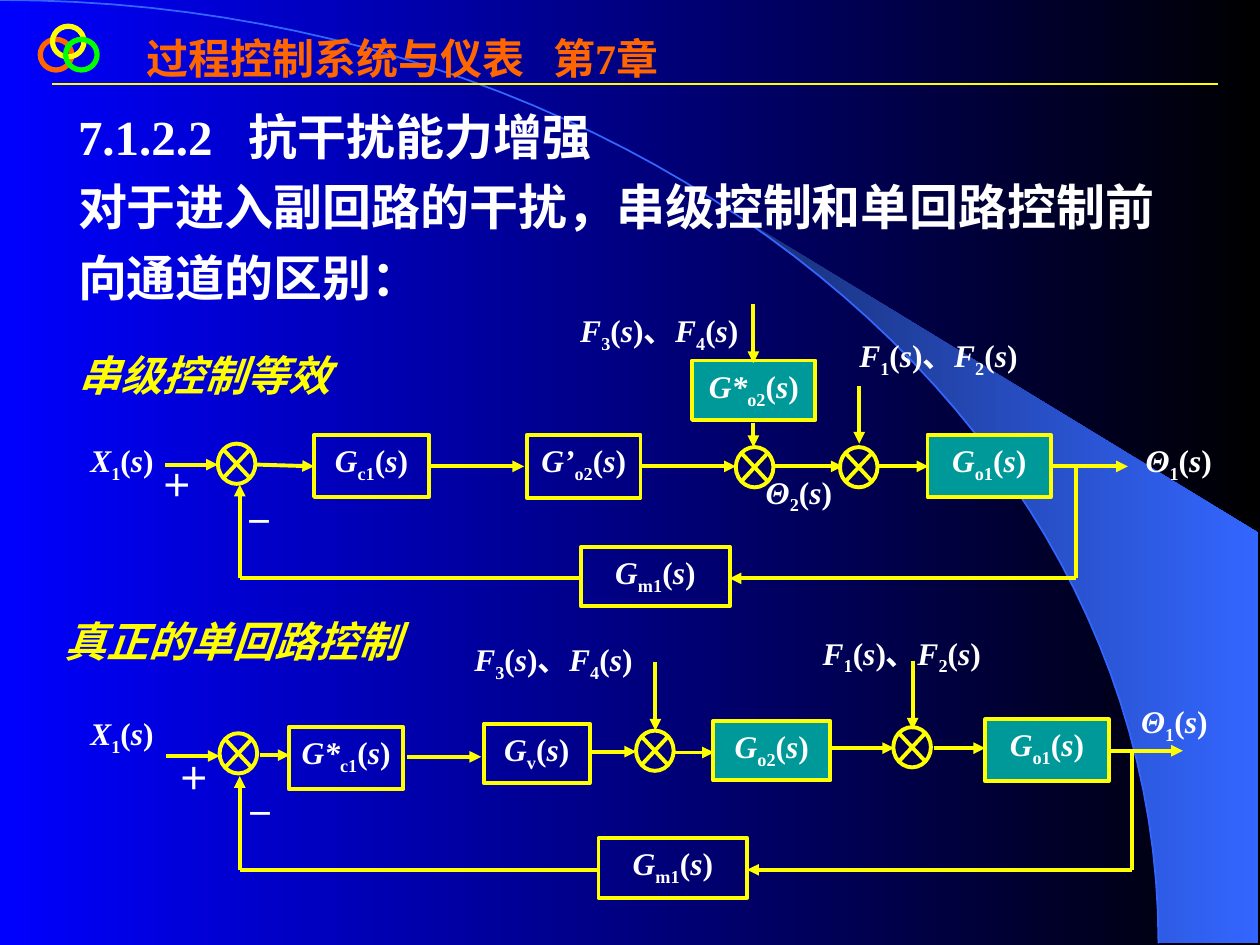
from lxml import etree
from pptx import Presentation
from pptx.dml.color import RGBColor
from pptx.enum.shapes import MSO_CONNECTOR, MSO_SHAPE
from pptx.enum.text import MSO_ANCHOR, PP_ALIGN
from pptx.oxml.ns import qn
from pptx.util import Pt

RECT, OVAL = MSO_SHAPE.RECTANGLE, MSO_SHAPE.OVAL
JUNCTION = MSO_SHAPE.FLOWCHART_SUMMING_JUNCTION
STRAIGHT = MSO_CONNECTOR.STRAIGHT
LEFT, CENTER, TOP = PP_ALIGN.LEFT, PP_ALIGN.CENTER, MSO_ANCHOR.TOP
YELLOW, WHITE, TEAL, BLUE = "FFFF00", "FFFFFF", "009999", "3366FF"
rgb = RGBColor.from_string


def formula(code):
    """Turn 'F_3 F_4' into (text, italic, subscript) pieces: F3(s)、F4(s)."""
    pieces = []
    for term in code.split():
        base, sub = term.split("_")
        if pieces:
            pieces[-1] = (")、", False, False)
        pieces += [(base, True, False), (sub, False, True), ("(", False, False),
                   ("s", True, False), (")", False, False)]
    return pieces


def write(p, pieces, size=18, color=WHITE, align=LEFT):
    p.alignment = align
    for text, italic, sub in pieces:
        r = p.add_run()
        r.text = text
        r.font.name, r.font.size = "Times New Roman", Pt(size)
        r.font.bold, r.font.italic = True, italic
        r.font.color.rgb = rgb(color)
        if sub:
            r._r.get_or_add_rPr().set("baseline", "-25000")


prs = Presentation()
prs.slide_width, prs.slide_height = Pt(720), Pt(540)
s = prs.slides.add_slide(prs.slide_layouts[6])

# Background wedge and arc, both from one Bezier curve
curve = []
for i in range(51):
    t = i / 50
    b1, b2, b3 = 3 * (1 - t) ** 2 * t, 3 * (1 - t) * t ** 2, t ** 3
    curve.append((Pt(366 * b1 + 662 * (b2 + b3)), Pt(241 * b2 + 539 * b3)))
wedge_points = curve[22:] + [(Pt(719), Pt(539)), (Pt(719), Pt(304.5))]
fb = s.shapes.build_freeform(*wedge_points[0])
fb.add_line_segments(wedge_points[1:], close=True)
wedge = fb.convert_to_shape()
wedge.line.fill.background()
fb = s.shapes.build_freeform(*curve[0])
fb.add_line_segments(curve[1:], close=False)
arc = fb.convert_to_shape()
arc.fill.background()
arc.line.color.rgb, arc.line.width = rgb(BLUE), Pt(1)
for sp in (wedge, arc):
    sp.shadow.inherit = False

for fill, stops in ((s.background.fill, ("0000FF", "000000")),
                    (wedge.fill, ("182F76", BLUE))):
    fill.gradient()
    fill.gradient_angle = 0
    for stop, color in zip(fill.gradient_stops, stops):
        stop.color.rgb = rgb(color)

# Outlined shapes: kind, left, top, width, height, line colour, line width, fill, label
shapes = [
    (OVAL, 23, 22.5, 18, 17.5, "FF6600", 3, None, None),
    (OVAL, 30, 15, 18, 17.5, YELLOW, 3, None, None),
    (OVAL, 37.5, 22.5, 18, 17.5, "00FF00", 3, None, None),
]
blocks = [
    # Cascade control
    (179.5, 248.5, 65.5, 35.5, None, "G_c1"),
    (301, 248.5, 65, 36, None, "G’_o2"),
    (395.5, 206, 70.5, 34, TEAL, "G*_o2"),
    (530, 248.5, 70.5, 35.5, TEAL, "G_o1"),
    (332, 312.5, 85, 34, None, "G_m1"),
    # Single loop control
    (165, 415.5, 65.5, 35.5, None, "G*_c1"),
    (276.5, 413.5, 60.5, 34, None, "G_v"),
    (407.5, 412, 67, 34, TEAL, "G_o2"),
    (563, 411, 70.5, 35.5, TEAL, "G_o1"),
    (342, 479, 85, 34, None, "G_m1"),
]
junctions = [(124.5, 253.5), (420.5, 255.5), (480, 255.5),
             (125.5, 419), (363.5, 417.5), (510.5, 415.5)]
for x, y, w, h, fill, label in blocks:
    shapes.append((RECT, x, y, w, h, YELLOW, 2.25, fill, label))
for x, y in junctions:
    shapes.append((JUNCTION, x, y, 21.5, 23, YELLOW, 2.25, None, None))

for kind, x, y, w, h, color, width, fill, label in shapes:
    sp = s.shapes.add_shape(kind, Pt(x), Pt(y), Pt(w), Pt(h))
    sp.shadow.inherit = False
    sp.line.color.rgb, sp.line.width = rgb(color), Pt(width)
    if fill:
        sp.fill.solid()
        sp.fill.fore_color.rgb = rgb(fill)
    else:
        sp.fill.background()
    if label:
        tf = sp.text_frame
        tf.vertical_anchor = TOP
        write(tf.paragraphs[0], formula(label), align=CENTER)

# Signal lines: from x, y to x, y
arrows = [
    # Cascade control
    (94.5, 265.5, 124.5, 265.5), (147, 265.5, 179.5, 266.5),
    (246, 266.5, 299.5, 266.5), (367, 266.5, 420.5, 266.5),
    (441.5, 266.5, 481.5, 266.5), (502, 266.5, 530.5, 266.5),
    (601, 266.5, 644.5, 266.5), (430.5, 174, 430.5, 207.5),
    (430.5, 242, 430.5, 255.5), (491, 220.5, 491, 253.5),
    (615, 330.5, 417, 330.5), (137, 330.5, 137, 277),
    # Single loop control
    (95, 432, 125.5, 432), (148.5, 431.5, 165.5, 431.5),
    (232.5, 432.5, 275, 432.5), (337.5, 429.5, 363.5, 429.5),
    (385, 430, 408, 430), (474.5, 427.5, 511, 427.5),
    (534, 427.5, 563, 427.5), (633, 429, 676, 429),
    (374.5, 378.5, 374.5, 417.5), (521.5, 377.5, 521.5, 417),
    (647, 497, 427, 497), (137, 497, 137, 443.5),
]
plain = [(615, 266.5, 615, 330.5), (332, 330.5, 137, 330.5),
         (647, 429, 647, 497), (342, 497, 137, 497)]
title_rule = (30, 48, 696, 48)
for ends in [title_rule] + plain + arrows:
    c = s.shapes.add_connector(STRAIGHT, *[Pt(v) for v in ends])
    c.line.color.rgb = rgb(YELLOW)
    c.line.width = Pt(1.5 if ends == title_rule else 2.25)
    if ends in arrows:
        etree.SubElement(c.line._get_or_add_ln(), qn("a:tailEnd"), type="triangle")
    etree.SubElement(c._element.spPr, qn("a:effectLst"))

# Signal names
labels = [
    (44.5, 248.5, 53.5, "X_1"), (647.5, 248.5, 57, "Θ_1"),
    (430.5, 266.5, 63.5, "Θ_2"),
    (324.5, 174, 127.5, "F_3 F_4"), (484, 188.5, 124, "F_1 F_2"),
    (44.5, 404.5, 53.5, "X_1"), (645, 397.5, 57, "Θ_1"),
    (264, 362, 127.5, "F_3 F_4"), (463, 358.5, 124, "F_1 F_2"),
]
texts = [(x, y, w, 32, [formula(code)], 18, WHITE) for x, y, w, code in labels]

# Signs, captions and headings: left, top, width, height, lines, size, colour
for x, y, w, h, lines, size, color in [
    (85, 263, 39.5, 45, ["＋"], 18, WHITE),
    (95, 430, 39.5, 45, ["＋"], 18, WHITE),
    (133, 285, 30.5, 26.5, ["－"], 16, WHITE),
    (134, 451.5, 30.5, 26.5, ["－"], 16, WHITE),
    (76.5, 15, 323.5, 36, ["过程控制系统与仪表\t第7章"], 24, "FF6600"),
    (37.5, 50.5, 652.5, 128, ["7.1.2.2\t抗干扰能力增强",
     "对于进入副回路的干扰，串级控制和单回路控制前向通道的区别："], 28, WHITE),
    (37.5, 196, 234, 36, ["串级控制等效"], 24, YELLOW),
    (30, 348, 225.5, 36, ["真正的单回路控制"], 24, YELLOW),
]:
    pieces = [[(line, color == YELLOW, False)] for line in lines]
    texts.append((x, y, w, h, pieces, size, color))

tab_stops = {24: 232.5, 28: 97.5}
for x, y, w, h, lines, size, color in texts:
    tf = s.shapes.add_textbox(Pt(x), Pt(y), Pt(w), Pt(h)).text_frame
    tf.word_wrap = True
    for i, pieces in enumerate(lines):
        p = tf.add_paragraph() if i else tf.paragraphs[0]
        if "\t" in pieces[0][0]:
            tabs = etree.SubElement(p._p.get_or_add_pPr(), qn("a:tabLst"))
            etree.SubElement(tabs, qn("a:tab"), pos=str(Pt(tab_stops[size])), algn="l")
        if size == 28:
            p.line_spacing = 1.2
        write(p, pieces, size, color)

prs.save("out.pptx")
